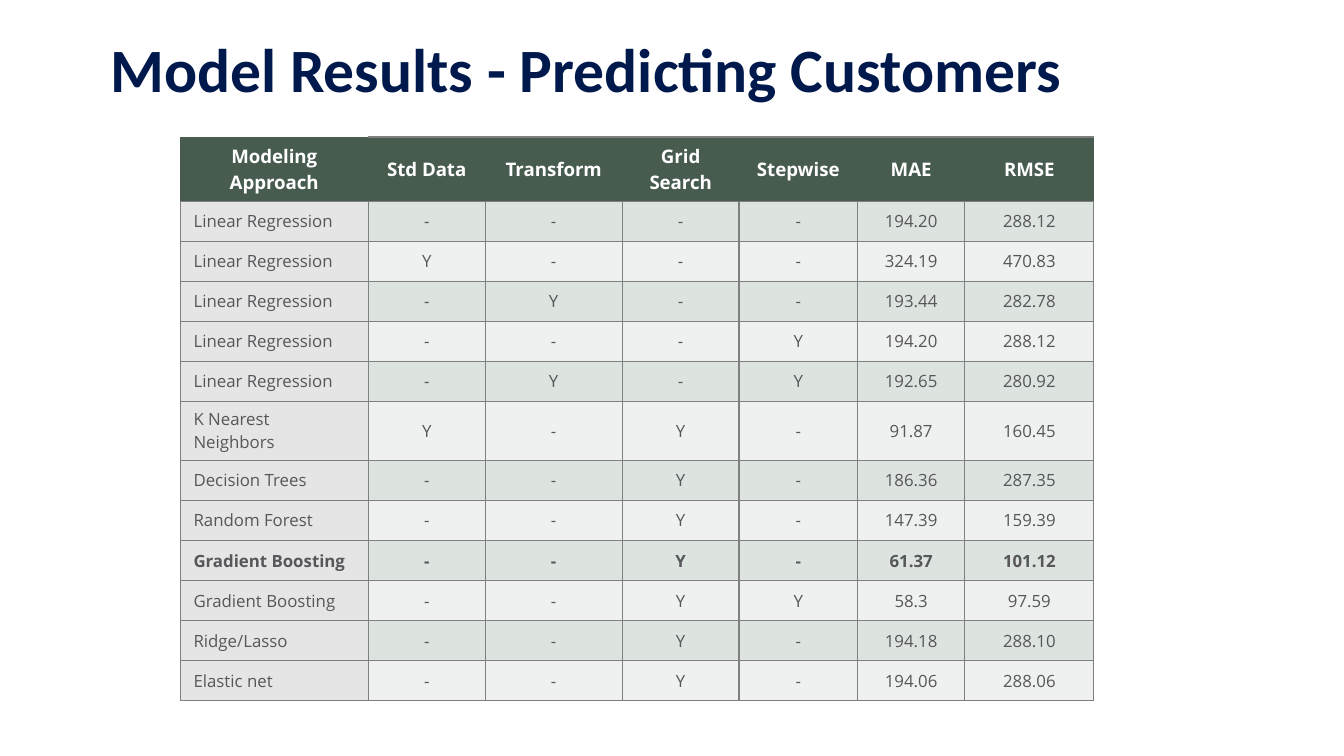
from lxml.etree import SubElement
from pptx import Presentation
from pptx.dml.color import RGBColor
from pptx.enum.text import MSO_ANCHOR as Anchor, MSO_AUTO_SIZE as AutoSize, PP_ALIGN as Align
from pptx.oxml import parse_xml
from pptx.oxml.ns import nsdecls, qn
from pptx.util import Inches, Pt

NAVY, GREEN, WHITE, GRAY = "00194C", "475B4F", "FFFFFF", "57565A"
BANDS = ["DDE3DF", "EFF1F0"]
LABEL_FILL, LABEL_OPACITY = "555555", 15
BORDER, BORDER_OPACITY = "7F7F7F", 50
NO_STYLE = "{2D5ABB26-0587-4C30-8999-92F81FD0307C}"
SLIDE_WIDTH = Inches(10)
SLIDE_HEIGHT = SLIDE_WIDTH * 9 // 16
COLUMN_WIDTHS = [1.4, 0.87, 1.02, 0.87, 0.88, 0.8, 0.96]
HEADER_HEIGHT, ROW_HEIGHT = Inches(0.47), Pt(21.43)
BEST_ROW = 9
RESULTS = [
    ["Modeling Approach", "Std Data", "Transform", "Grid Search", "Stepwise", "MAE", "RMSE"],
    ["Linear Regression", "-", "-", "-", "-", "194.20", "288.12"],
    ["Linear Regression", "Y", "-", "-", "-", "324.19", "470.83"],
    ["Linear Regression", "-", "Y", "-", "-", "193.44", "282.78"],
    ["Linear Regression", "-", "-", "-", "Y", "194.20", "288.12"],
    ["Linear Regression", "-", "Y", "-", "Y", "192.65", "280.92"],
    ["K Nearest Neighbors", "Y", "-", "Y", "-", "91.87", "160.45"],
    ["Decision Trees", "-", "-", "Y", "-", "186.36", "287.35"],
    ["Random Forest", "-", "-", "Y", "-", "147.39", "159.39"],
    ["Gradient Boosting", "-", "-", "Y", "-", "61.37", "101.12"],
    ["Gradient Boosting", "-", "-", "Y", "Y", "58.3", "97.59"],
    ["Ridge/Lasso", "-", "-", "Y", "-", "194.18", "288.10"],
    ["Elastic net", "-", "-", "Y", "-", "194.06", "288.06"],
]


def color(hex_value):
    return RGBColor.from_string(hex_value)


def format_text(paragraph, font_name, size, hex_value, bold, align):
    paragraph.alignment = align
    for run in paragraph.runs:
        run.font.name = font_name
        run.font.size = Pt(size)
        run.font.bold = bold
        run.font.color.rgb = color(hex_value)


def fill_cell(cell, hex_value, opacity=100):
    cell.fill.solid()
    cell.fill.fore_color.rgb = color(hex_value)
    if opacity < 100:
        tint = cell._tc.tcPr.find(".//" + qn("a:srgbClr"))
        SubElement(tint, qn("a:alpha"), val=str(opacity * 1000))


def border_cell(cell, sides):
    for position, side in enumerate(sides):
        cell._tc.tcPr.insert(position, parse_xml(
            f'<a:ln{side} {nsdecls("a")} w="{Pt(0.75)}"><a:solidFill>'
            f'<a:srgbClr val="{BORDER}"><a:alpha val="{BORDER_OPACITY * 1000}"/></a:srgbClr>'
            f'</a:solidFill><a:prstDash val="solid"/></a:ln{side}>'))


def style_cell(cell, row, column):
    header = row == 0
    label = column == 0 and not header
    cell.vertical_anchor = Anchor.MIDDLE
    cell.margin_left = cell.margin_right = Inches(0.1)
    cell.margin_top = cell.margin_bottom = Inches(0.05)
    format_text(cell.text_frame.paragraphs[0], "Open Sans", 10 if header else 9,
                WHITE if header else GRAY, row in (0, BEST_ROW),
                Align.LEFT if label else Align.CENTER)
    if label:
        fill_cell(cell, LABEL_FILL, LABEL_OPACITY)
    else:
        fill_cell(cell, GREEN if header else BANDS[(row - 1) % 2])
    if header:
        border_cell(cell, "B" if column == 0 else "TB")
    else:
        border_cell(cell, "LRTB")


def add_title(slide, wording):
    title = slide.shapes.title
    title.left, title.top = Inches(0.75), Inches(0.2)
    title.width, title.height = Inches(8.5), Inches(0.68)
    frame = title.text_frame
    frame.text = wording
    frame.auto_size = AutoSize.NONE
    frame.word_wrap = True
    frame.vertical_anchor = Anchor.MIDDLE
    frame.margin_left = frame.margin_right = Inches(0.07)
    frame.margin_top = frame.margin_bottom = Inches(0.04)
    heading = frame.paragraphs[0]
    heading.line_spacing = 0.9
    format_text(heading, "Calibri", 33, NAVY, True, Align.LEFT)


def add_results(slide):
    heights = [HEADER_HEIGHT] + [ROW_HEIGHT] * (len(RESULTS) - 1)
    results = slide.shapes.add_table(
        len(RESULTS), len(COLUMN_WIDTHS), Inches(1.34), Inches(1.02),
        Inches(sum(COLUMN_WIDTHS)), sum(heights)).table
    results._tbl.tblPr.find(qn("a:tableStyleId")).text = NO_STYLE
    for column, width in zip(results.columns, COLUMN_WIDTHS):
        column.width = Inches(width)
    for row, height in zip(results.rows, heights):
        row.height = height
    for row, values in enumerate(RESULTS):
        for column, value in enumerate(values):
            cell = results.cell(row, column)
            cell.text_frame.text = value
            style_cell(cell, row, column)


def main():
    deck = Presentation()
    deck.slide_width, deck.slide_height = SLIDE_WIDTH, SLIDE_HEIGHT
    slide = deck.slides.add_slide(deck.slide_layouts[5])
    add_title(slide, "Model Results - Predicting Customers")
    add_results(slide)
    deck.save("out.pptx")


if __name__ == "__main__":
    main()
